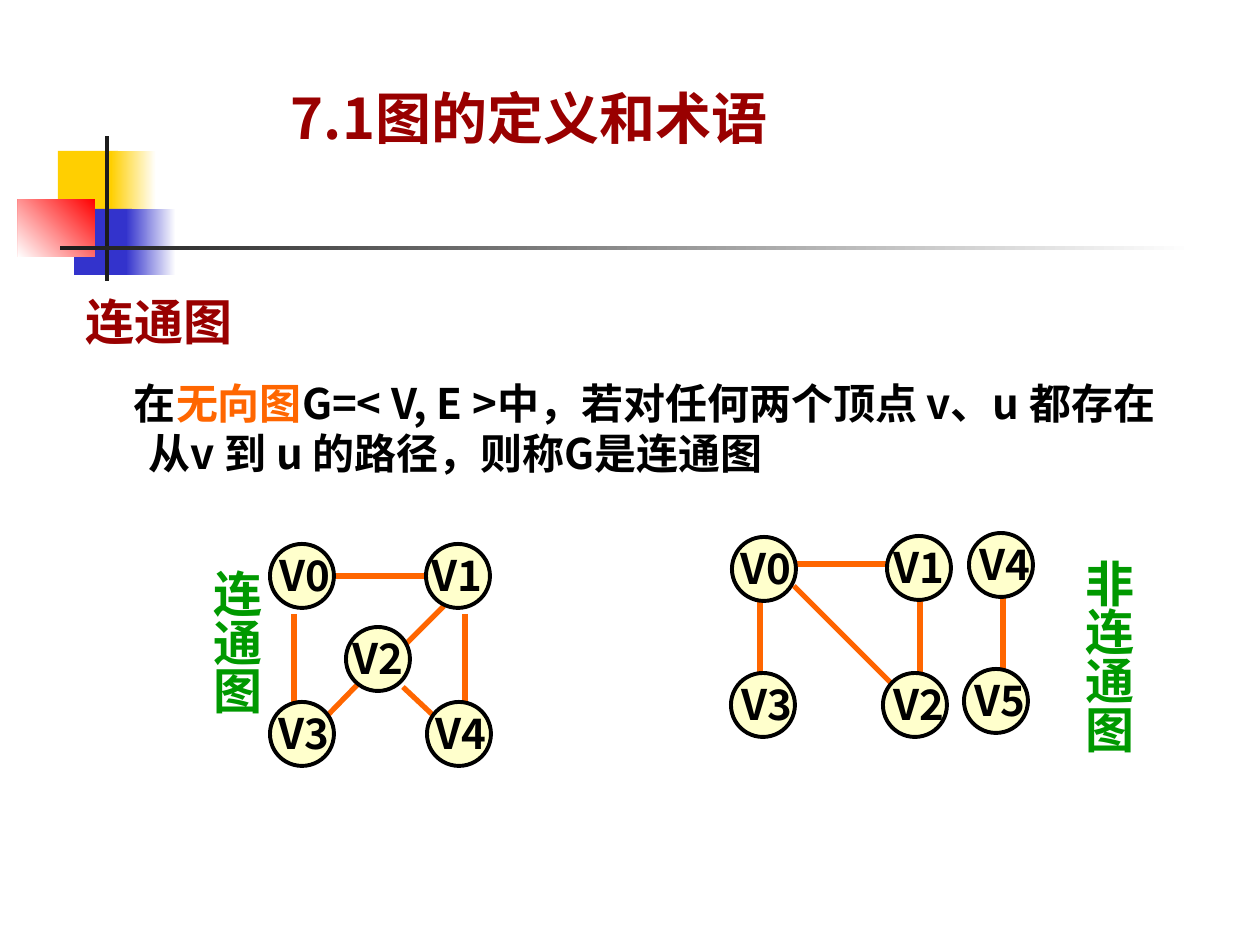
from lxml import etree
from pptx import Presentation
from pptx.dml.color import RGBColor
from pptx.enum.shapes import MSO_CONNECTOR, MSO_SHAPE
from pptx.enum.text import PP_ALIGN
from pptx.oxml.ns import qn
from pptx.util import Pt

SCALE = 914400 / 126
FONT = "Noto Sans CJK SC"
RECTANGLE, OVAL = MSO_SHAPE.RECTANGLE, MSO_SHAPE.OVAL
STRAIGHT = MSO_CONNECTOR.STRAIGHT
CENTER, LEFT = PP_ALIGN.CENTER, PP_ALIGN.LEFT
COLORS = {
    "title": "990000", "text": "000000", "accent": "FF6600", "diagonal": "FF6400",
    "label": "009900", "node": "FFFFCC", "yellow": "FFCF01", "blue": "3333CC",
    "red": "FF0000", "ink": "1C1C1C", "white": "FFFFFF",
}


def px(*lengths):
    """Turn pixel lengths into a list of EMU."""
    return [round(length * SCALE) for length in lengths]


def color(name):
    """Look up a colour by its role."""
    return RGBColor.from_string(COLORS[name])


def set_values(target, values):
    """Set every attribute in a dict of format values."""
    for name, value in values.items():
        setattr(target, name, value)


def add_text(shapes, box, paragraphs, insets=(13, 6, 13, 6), wrap=True, vertical=False):
    """Place a text box of (spans, format, indents) paragraphs."""
    frame = shapes.add_textbox(*px(*box)).text_frame
    sides = ("margin_left", "margin_top", "margin_right", "margin_bottom")
    set_values(frame, {"word_wrap": wrap, **dict(zip(sides, px(*insets)))})
    if vertical:
        frame._txBody.bodyPr.set("vert", "eaVert")
    for index, (spans, layout, indents) in enumerate(paragraphs):
        para = frame.add_paragraph() if index else frame.paragraphs[0]
        set_values(para, layout)
        properties = para._p.get_or_add_pPr()
        for name, value in zip(("marL", "indent"), px(*indents)):
            properties.set(name, str(value))
        for text, size, tint in spans:
            span = para.add_run()
            span.text = text
            set_values(span.font, {"size": Pt(size), "bold": True, "name": FONT})
            span.font.color.rgb = color(tint)
            east_asian = etree.SubElement(span.font._element, qn("a:ea"))
            east_asian.set("typeface", FONT)


def add_ornament(shapes, box):
    """Draw the coloured squares and crossing bars beside the title."""
    left, top = box
    parts = [
        (40, 15, 60, 66, ["yellow"], 0),
        (93, 15, 45, 66, ["white", "yellow"], 180),
        (56, 73, 58, 66, ["blue"], 0),
        (108, 73, 50, 66, ["white", "blue"], 180),
        (0, 63, 77, 58, ["red", "white"], 225),
        (87, 0, 4, 145, ["ink"], 0),
        (42, 110, 1134, 4, ["white", "ink"], 180),
    ]
    for x, y, width, height, tints, angle in parts:
        shape = shapes.add_shape(RECTANGLE, *px(left + x, top + y, width, height))
        shape.shadow.inherit = False
        shape.line.fill.background()
        if len(tints) == 1:
            shape.fill.solid()
            shape.fill.fore_color.rgb = color(tints[0])
            continue
        shape.fill.gradient()
        shape.fill.gradient_angle = angle
        for stop, tint, position in zip(shape.fill.gradient_stops, tints, (0, 1)):
            stop.color.rgb = color(tint)
            stop.position = position


def add_title(shapes, box):
    """Place the slide title."""
    add_text(shapes, box, [([("7.1图的定义和术语", 32, "title")], {}, (0, 0))], wrap=False)


def add_definition(shapes, box):
    """Place the heading and the definition under it."""
    definition = [
        ("在", 24, "text"),
        ("无向图", 24, "accent"),
        ("G=< V, E >中，若对任何两个顶点 v、u 都存在从v 到 u 的路径，则称G是连通图", 24, "text"),
    ]
    add_text(shapes, box, [
        ([("连通图", 28, "title")], {"alignment": LEFT}, (63, -63)),
        (definition, {"space_before": Pt(15)}, (63, -15)),
    ])


def add_caption(shapes, box, text):
    """Place a vertical caption beside a graph."""
    spans = [(text, 28, "label")]
    add_text(shapes, box, [(spans, {"alignment": CENTER}, (0, 0))],
             insets=(6, 34, 6, 13), vertical=True)


def add_graph(shapes, box, edges, nodes):
    """Draw a grouped graph: edges first, then labelled nodes."""
    left, top = box
    group = shapes.add_group_shape().shapes
    for x1, y1, x2, y2, tint in edges:
        edge = group.add_connector(STRAIGHT, *px(left + x1, top + y1, left + x2, top + y2))
        edge.line.width = Pt(3)
        edge.line.color.rgb = color(tint)
        etree.SubElement(edge._element.spPr, qn("a:effectLst"))
    for name, x, y, shift in nodes:
        circle = group.add_shape(OVAL, *px(left + x, top + y, 64, 64))
        circle.shadow.inherit = False
        circle.fill.solid()
        circle.fill.fore_color.rgb = color("node")
        circle.line.width = Pt(2.25)
        circle.line.color.rgb = color("text")
        add_text(group, (left + x - shift, top + y, 89, 63),
                 [([(name, 24, "text")], {}, (0, 0))], insets=(17, 6, 9, 6))


def main():
    """Build the slide and save it."""
    deck = Presentation()
    set_values(deck, dict(zip(("slide_width", "slide_height"), px(1260, 945))))
    shapes = deck.slides.add_slide(deck.slide_layouts[6]).shapes
    add_ornament(shapes, (18, 136))
    add_definition(shapes, (73, 286, 1124, 199))
    add_caption(shapes, (1061, 525, 83, 273), "非连通图")
    add_caption(shapes, (189, 535, 83, 273), "连通图")
    add_graph(shapes, (262, 544), [
        (32, 70, 32, 160, "accent"), (69, 32, 174, 32, "accent"),
        (203, 70, 203, 160, "accent"), (98, 138, 62, 175, "accent"),
        (182, 62, 144, 100, "accent"), (141, 143, 174, 174, "accent"),
    ], [("V0", 8, 0, 7), ("V4", 165, 158, 8), ("V3", 8, 158, 8),
        ("V1", 164, 0, 11), ("V2", 84, 83, 10)])
    add_graph(shapes, (724, 536), [
        (70, 50, 173, 153, "diagonal"), (36, 63, 36, 143, "accent"),
        (71, 28, 168, 28, "accent"), (196, 63, 196, 143, "accent"),
    ], [("V0", 8, 1, 8), ("V2", 159, 137, 6), ("V3", 7, 137, 6), ("V1", 163, 0, 10)])
    add_graph(shapes, (958, 533), [(45, 57, 45, 137, "accent")],
              [("V5", 6, 136, 6), ("V4", 11, 0, 6)])
    add_title(shapes, (278, 78, 515, 81))
    deck.save("out.pptx")


if __name__ == "__main__":
    main()
